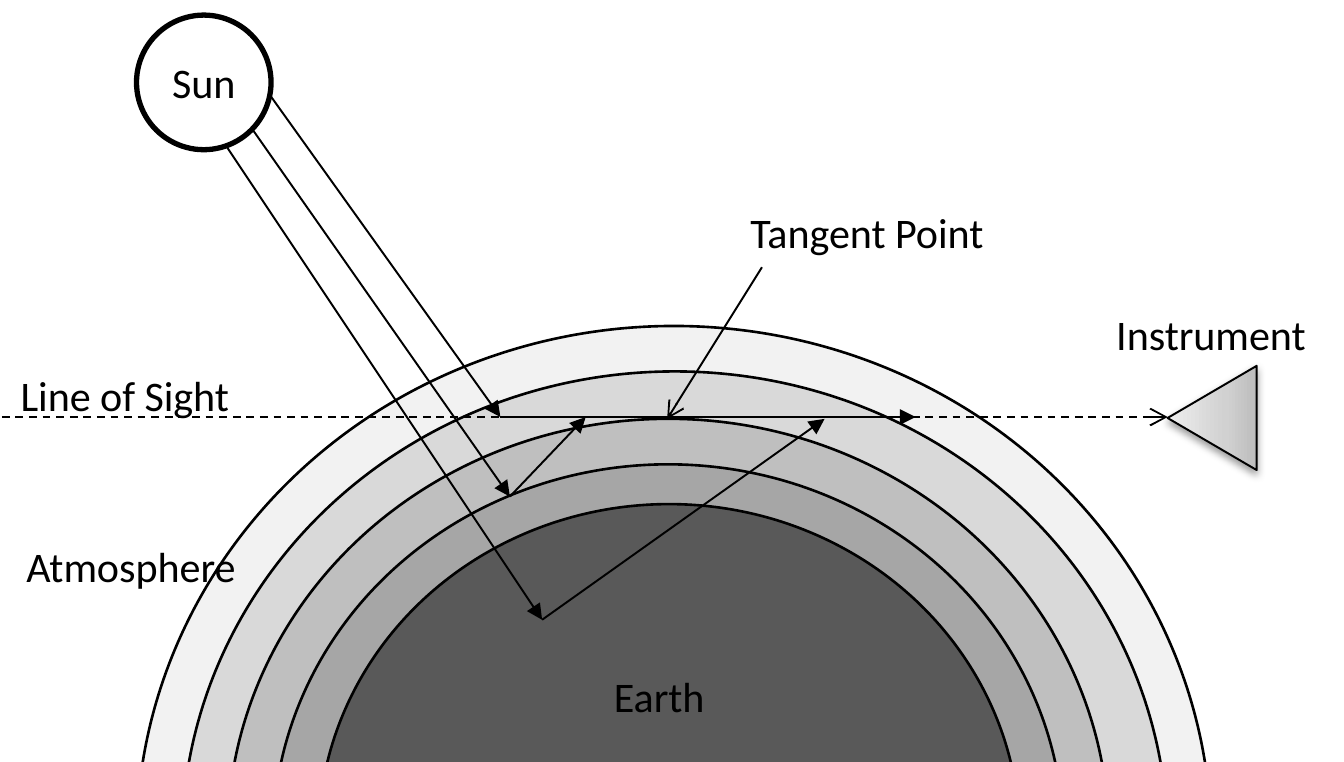
from copy import deepcopy
from pptx import Presentation
from pptx.dml.color import RGBColor as Rgb
from pptx.enum.dml import MSO_LINE as Dash
from pptx.enum.shapes import MSO_CONNECTOR as Link, MSO_SHAPE as Kind
from pptx.enum.text import MSO_AUTO_SIZE as Fit
from pptx.oxml.ns import qn
from pptx.oxml.xmlchemy import OxmlElement as Node
from pptx.util import Inches, Pt

COLS, ROWS = 709, 402
CELL = Inches(0.01)
INK = {"line": "000000", "sun": "FFFFFF", "text": "000000"}
RINGS = {
    "F2F2F2": (172, 567, 543),
    "D9D9D9": (196, 520, 496),
    "BFBFBF": (221, 465, 441),
    "A6A6A6": (245, 417, 394),
    "595959": (266, 370, 351),
}
METAL = {0: "BDBDBD", 0.35: "D1D1D1", 1: "EEEEEE"}
FONT = {"name": "Calibri", "size": Pt(16)}


def cells(*nums):
    """Turn grid counts into lengths."""
    return [round(num * CELL) for num in nums]


def child(node, tag, **vals):
    """Append an XML child with attributes."""
    item = Node(tag)
    for key, val in vals.items():
        item.set(key, str(val))
    node.append(item)
    return item


def stroke(item, width):
    """Give a line its colour and width."""
    item.line.color.rgb = Rgb.from_string(INK["line"])
    item.line.width = Pt(width)


def shape(slide, kind, box, width, fill=None):
    """Draw an outlined preset shape."""
    item = slide.shapes.add_shape(kind, *cells(*box))
    item.shadow.inherit = False
    if fill:
        item.fill.solid()
        item.fill.fore_color.rgb = Rgb.from_string(fill)
    stroke(item, width)
    return item


def arrow(slide, start, end, head="triangle", dash=None):
    """Draw a thin line with an arrowhead at its end."""
    item = slide.shapes.add_connector(Link.STRAIGHT, *cells(*start, *end))
    stroke(item, 0.75)
    if dash:
        item.line.dash_style = dash
    child(item.line._get_or_add_ln(), "a:tailEnd", type=head)
    child(item._element.spPr, "a:effectLst")


def label(slide, text, box):
    """Write one unwrapped label."""
    frame = slide.shapes.add_textbox(*cells(*box)).text_frame
    frame.word_wrap = False
    frame.auto_size = Fit.SHAPE_TO_FIT_TEXT
    frame.text = text
    font = frame.paragraphs[0].runs[0].font
    for key, val in FONT.items():
        setattr(font, key, val)
    font.color.rgb = Rgb.from_string(INK["text"])


def earth(slide, left, step):
    """Nest the air layers around the globe."""
    for num, (fill, (top, wide, high)) in enumerate(RINGS.items()):
        box = (left + num * step, top, wide, high)
        shape(slide, Kind.OVAL, box, 1, fill)


def sensor(slide, left, top, wide, high):
    """Draw the instrument as a shaded triangle facing left."""
    item = shape(slide, Kind.ISOSCELES_TRIANGLE, (left, top, wide, high), 0.75)
    item.rotation = 270
    item.fill.gradient()
    item.fill.gradient_angle = 90
    stops = item._element.spPr.find(".//" + qn("a:gsLst"))
    stops.append(deepcopy(stops[-1]))
    for stop, (place, tone) in zip(item.fill.gradient_stops, METAL.items()):
        stop.position = place
        stop.color.rgb = Rgb.from_string(tone)
    glow = child(item._element.spPr.find(qn("a:effectLst")), "a:outerShdw",
                 blurRad=Pt(3.1), dist=Pt(1.6), dir=5400000, rotWithShape=0)
    tone = child(glow, "a:srgbClr", val=INK["line"])
    child(tone, "a:alpha", val=38000)


def rays(slide, sight):
    """Trace the sunlight down to the line of sight and along it."""
    trails = [
        [(143, 51), (264, sight), (483, sight)],
        [(133, 68), (269, 262), (309, sight)],
        [(120, 78), (286, 327), (435, sight + 1)],
    ]
    for trail in trails:
        for start, end in zip(trail, trail[1:]):
            arrow(slide, start, end)


def labels(slide):
    """Name the parts of the scene."""
    names = {
        "Earth": (314, 349, 69),
        "Atmosphere": (4, 280, 132),
        "Line of Sight": (1, 190, 132),
        "Sun": (81, 25, 54),
        "Instrument": (579, 158, 121),
        "Tangent Point": (386, 104, 145),
    }
    for text, box in names.items():
        label(slide, text, (*box, 37))


def main():
    """Build the limb viewing diagram."""
    deck = Presentation()
    deck.slide_width, deck.slide_height = cells(COLS, ROWS)
    slide = deck.slides.add_slide(deck.slide_layouts[6])
    sight = 220
    earth(slide, 72, 24)
    sensor(slide, 612, 197, 55, 47)
    arrow(slide, (1, sight), (616, sight), "arrow", Dash.DASH)
    shape(slide, Kind.OVAL, (72, 8, 71, 71), 2, INK["sun"])
    rays(slide, sight)
    arrow(slide, (402, 141), (352, sight + 1), "arrow")
    labels(slide)
    deck.save("out.pptx")


if __name__ == "__main__":
    main()
